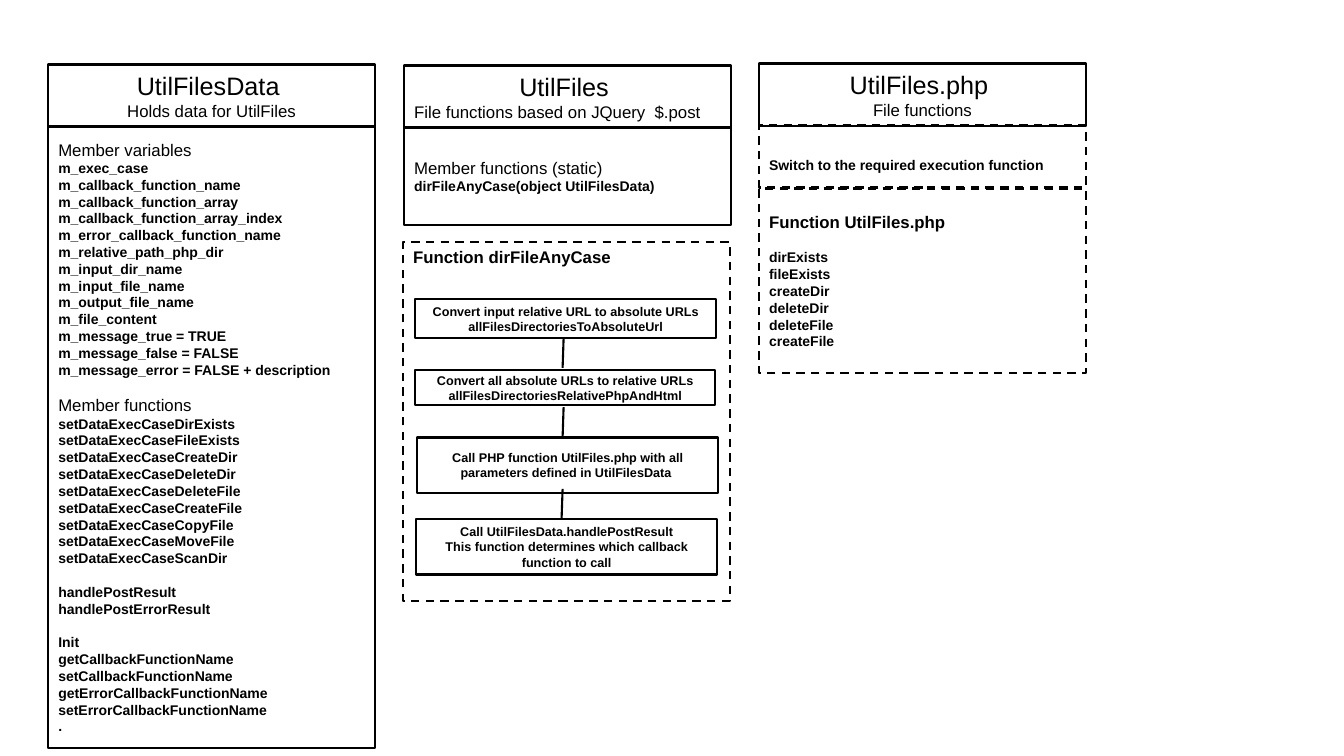
from pptx import Presentation
from pptx.dml.color import RGBColor
from pptx.enum import dml, shapes, text
from pptx.oxml.ns import qn
from pptx.util import Inches, Pt

BLACK = RGBColor(0, 0, 0)
FONT = "Arial"
LINE_WIDTH = Pt(1.5)
COLUMN_WIDTH = 3.24
HEADER_HEIGHT = 0.62
BLANK_LINE = 12  # points left open between groups of names
LEFT, CENTER = text.PP_ALIGN.LEFT, text.PP_ALIGN.CENTER

deck = Presentation()
deck.slide_width, deck.slide_height = Inches(13.33), Inches(7.5)
page = deck.slides.add_slide(deck.slide_layouts[6])


def add_box(left, top, width, height, dashed=False):
    box = page.shapes.add_shape(shapes.MSO_SHAPE.RECTANGLE, Inches(left),
                                Inches(top), Inches(width), Inches(height))
    box.shadow.inherit = False
    box.fill.background()
    box.line.color.rgb = BLACK
    box.line.width = LINE_WIDTH
    if dashed:
        box.line.dash_style = dml.MSO_LINE.DASH
    box.text_frame.word_wrap = True
    box.text_frame.vertical_anchor = text.MSO_ANCHOR.MIDDLE
    return box


def add_lines(box, lines, size, bold=True, align=LEFT, gap=0):
    """Append lines of one style; gap is the space above the first one."""
    frame = box.text_frame
    for index, line in enumerate(lines):
        first = frame.paragraphs[0]
        para = frame.add_paragraph() if first.runs else first
        para.alignment = align
        para.space_before = Pt(gap if index == 0 else 0)
        span = para.add_run()
        span.text = line
        span.font.name = FONT
        span.font.size = Pt(size)
        span.font.bold = bold
        span.font.color.rgb = BLACK


# Column headers
headers = [
    (0.48, 0.64, "UtilFilesData ", "Holds data for UtilFiles", CENTER),
    (4.01, 0.65, "UtilFiles ", "File functions based on JQuery  $.post", LEFT),
    (7.53, 0.63, "UtilFiles.php ", "File functions", CENTER),
]
for left, top, title, subtitle, subtitle_align in headers:
    header = add_box(left, top, COLUMN_WIDTH, HEADER_HEIGHT)
    add_lines(header, [title], 18, bold=False, align=CENTER)
    add_lines(header, [subtitle], 12, bold=False, align=subtitle_align)

# UtilFilesData members
variables = [
    "m_exec_case", "m_callback_function_name", "m_callback_function_array",
    "m_callback_function_array_index", "m_error_callback_function_name",
    "m_relative_path_php_dir", "m_input_dir_name", "m_input_file_name",
    "m_output_file_name", "m_file_content", "m_message_true = TRUE",
    "m_message_false = FALSE", "m_message_error = FALSE + description",
]
cases = ["DirExists", "FileExists", "CreateDir", "DeleteDir", "DeleteFile",
         "CreateFile", "CopyFile", "MoveFile", "ScanDir"]
handlers = ["handlePostResult", "handlePostErrorResult"]
accessors = ["Init", "getCallbackFunctionName", "setCallbackFunctionName",
             "getErrorCallbackFunctionName", "setErrorCallbackFunctionName", "."]
members = add_box(0.48, 1.25, COLUMN_WIDTH, 6.17)
add_lines(members, ["Member variables"], 12, bold=False)
add_lines(members, variables, 10)
add_lines(members, ["Member functions"], 12, bold=False, gap=BLANK_LINE)
add_lines(members, ["setDataExecCase" + case for case in cases], 10)
add_lines(members, handlers, 10, gap=BLANK_LINE)
add_lines(members, accessors, 10, gap=BLANK_LINE)

# UtilFiles members
static_members = add_box(4.01, 1.26, COLUMN_WIDTH, 0.97)
add_lines(static_members, ["Member functions (static)"], 12, bold=False)
add_lines(static_members, ["dirFileAnyCase(object UtilFilesData)"], 10)

# Flow inside dirFileAnyCase
flow = add_box(4, 2.4, COLUMN_WIDTH, 3.56, dashed=True)
flow.text_frame.vertical_anchor = text.MSO_ANCHOR.TOP
add_lines(flow, ["Function dirFileAnyCase"], 12)

steps = [
    (4.12, 2.97, 2.98, 0.38, ["Convert input relative URL to absolute URLs",
                              "allFilesDirectoriesToAbsoluteUrl"]),
    (4.12, 3.67, 2.97, 0.35, ["Convert all absolute URLs to relative URLs",
                              "allFilesDirectoriesRelativePhpAndHtml"]),
    (4.14, 4.34, 2.98, 0.55, ["Call PHP function UtilFiles.php with all "
                              "parameters defined in UtilFilesData "]),
    (4.13, 5.15, 2.98, 0.55, ["Call UtilFilesData.handlePostResult",
                              "This function determines which callback "
                              "function to call"]),
]
for left, top, width, height, lines in steps:
    add_lines(add_box(left, top, width, height), lines, 9, align=CENTER)

for start_x, start_y, end_y in [(5.59, 3.36, 3.65), (5.59, 4.04, 4.34),
                                (5.58, 4.85, 5.15)]:
    link = page.shapes.add_connector(
        shapes.MSO_CONNECTOR.STRAIGHT, Inches(start_x), Inches(start_y),
        Inches(start_x - 0.01), Inches(end_y))
    link.line.color.rgb = BLACK
    link.line.width = LINE_WIDTH
    properties = link.element.find(qn("p:spPr"))
    properties.append(properties.makeelement(qn("a:effectLst"), {}))

# UtilFiles.php functions
switch = add_box(7.53, 1.24, COLUMN_WIDTH, HEADER_HEIGHT, dashed=True)
switch.text_frame.margin_top = Inches(0.22)
add_lines(switch, ["Switch to the required execution function"], 10)

functions = add_box(7.53, 1.87, COLUMN_WIDTH, 1.83, dashed=True)
add_lines(functions, ["Function UtilFiles.php"], 12)
add_lines(functions, ["dirExists", "fileExists", "createDir", "deleteDir",
                      "deleteFile", "createFile"], 10, gap=BLANK_LINE)

deck.save("out.pptx")
